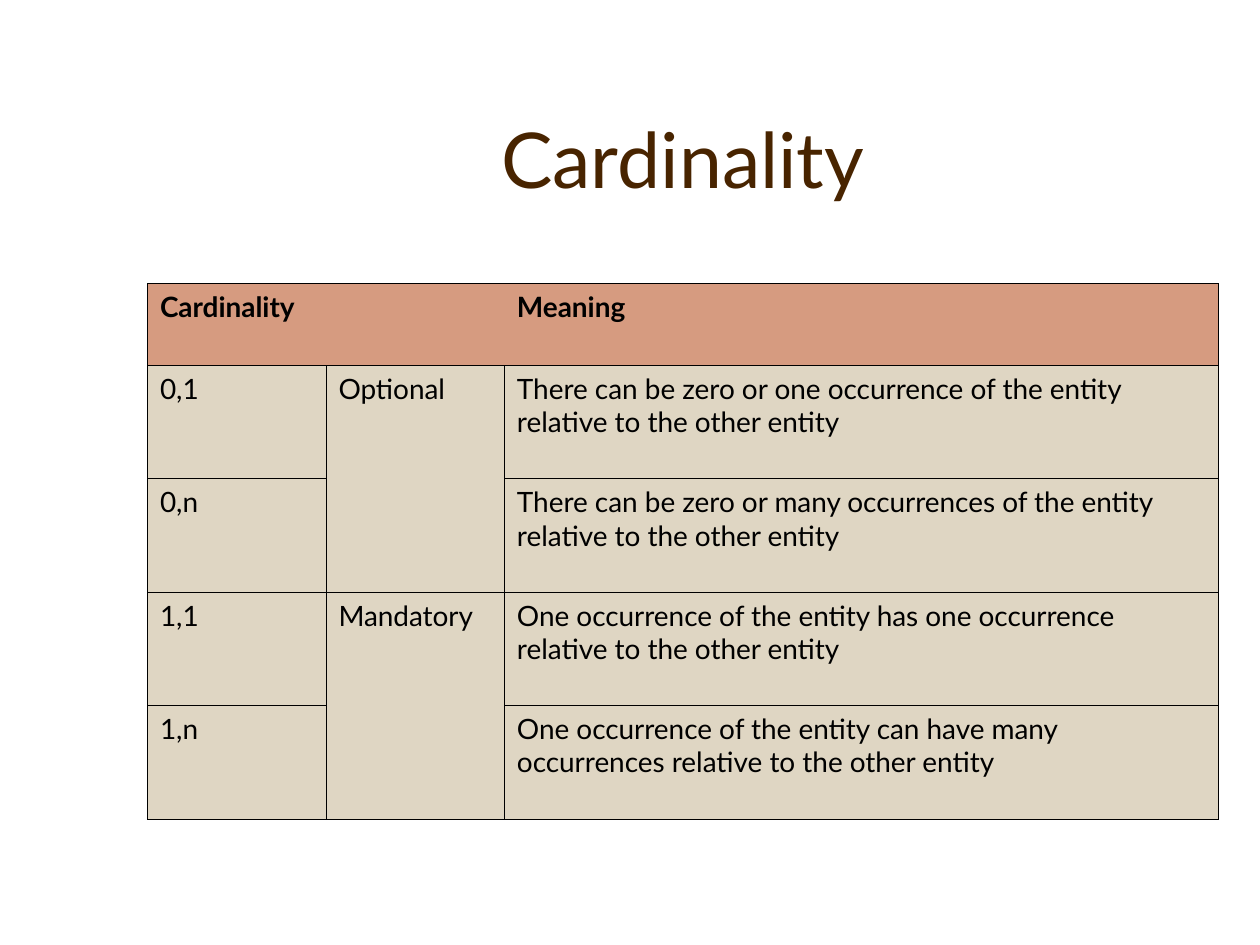
from lxml.etree import SubElement
from pptx import Presentation
from pptx.dml.color import RGBColor
from pptx.enum.text import MSO_ANCHOR as Anchor, PP_ALIGN as Align
from pptx.oxml.ns import qn
from pptx.util import Inches, Pt

BROWN = RGBColor(0x48, 0x24, 0x00)
BLACK = RGBColor(0x00, 0x00, 0x00)
CLAY = RGBColor(0xD6, 0x9B, 0x80)
SAND = RGBColor(0xDF, 0xD6, 0xC3)

LEFT, WIDTH = Inches(1.17), Inches(8.5)
COL_SHARES = (1, 1, 4)
ROW_HEIGHTS = (0.65, 0.9, 0.9, 0.9, 0.9)
ROWS = (
    ("Cardinality", "", "Meaning"),
    ("0,1", "Optional",
     "There can be zero or one occurrence of the entity relative to the other entity"),
    ("0,n", "",
     "There can be zero or many occurrences of the entity relative to the other entity"),
    ("1,1", "Mandatory",
     "One occurrence of the entity has one occurrence relative to the other entity"),
    ("1,n", "",
     "One occurrence of the entity can have many occurrences relative to the other entity"),
)


def write(tf, text, align, **font):
    tf.text = text
    p = tf.paragraphs[0]
    p.alignment = align
    f = p.runs[0].font if text else p.font
    f.color.rgb = font.pop("color")
    for name, value in font.items():
        setattr(f, name, value)


def add_borders(cell, edges):
    """Rule the given edges (a subset of "LRTB") and clear the others."""
    tc_pr = cell._tc.get_or_add_tcPr()
    for i, edge in enumerate("LRTB"):
        ln = SubElement(tc_pr, qn(f"a:ln{edge}"), w=str(Pt(0.45)))
        if edge in edges:
            fill = SubElement(ln, qn("a:solidFill"))
            SubElement(fill, qn("a:srgbClr"), val=str(BLACK))
        else:
            SubElement(ln, qn("a:noFill"))
        tc_pr.insert(i, ln)


prs = Presentation()
prs.slide_width, prs.slide_height = Inches(10), Inches(7.5)
s = prs.slides.add_slide(prs.slide_layouts[5])

title = s.shapes.title
box = dict(left=LEFT, top=Inches(0.42), width=WIDTH, height=Inches(1.25))
for name, value in box.items():
    setattr(title, name, value)
title.text_frame.vertical_anchor = Anchor.BOTTOM
write(title.text_frame, "Cardinality", Align.CENTER,
      size=Pt(44), name="Lato", color=BROWN)

table = s.shapes.add_table(len(ROWS), len(COL_SHARES), LEFT, Inches(2.25),
                           WIDTH, Inches(sum(ROW_HEIGHTS))).table
table.horz_banding = False
for col, share in zip(table.columns, COL_SHARES):
    col.width = WIDTH * share // sum(COL_SHARES)
for row, height in zip(table.rows, ROW_HEIGHTS):
    row.height = Inches(height)

for r, texts in enumerate(ROWS):
    for c, text in enumerate(texts):
        cell = table.cell(r, c)
        header = r == 0
        cell.fill.solid()
        cell.fill.fore_color.rgb = CLAY if header else SAND
        write(cell.text_frame, text, Align.LEFT,
              size=Pt(16), name="Lato", bold=header, color=BLACK)
        if header:
            edges = ("LTB", "TB", "RTB")[c]
        elif c == 1:  # each label spans two rows
            edges = "LRT" if text else "LRB"
        else:
            edges = "LRTB"
        add_borders(cell, edges)

prs.save("out.pptx")
